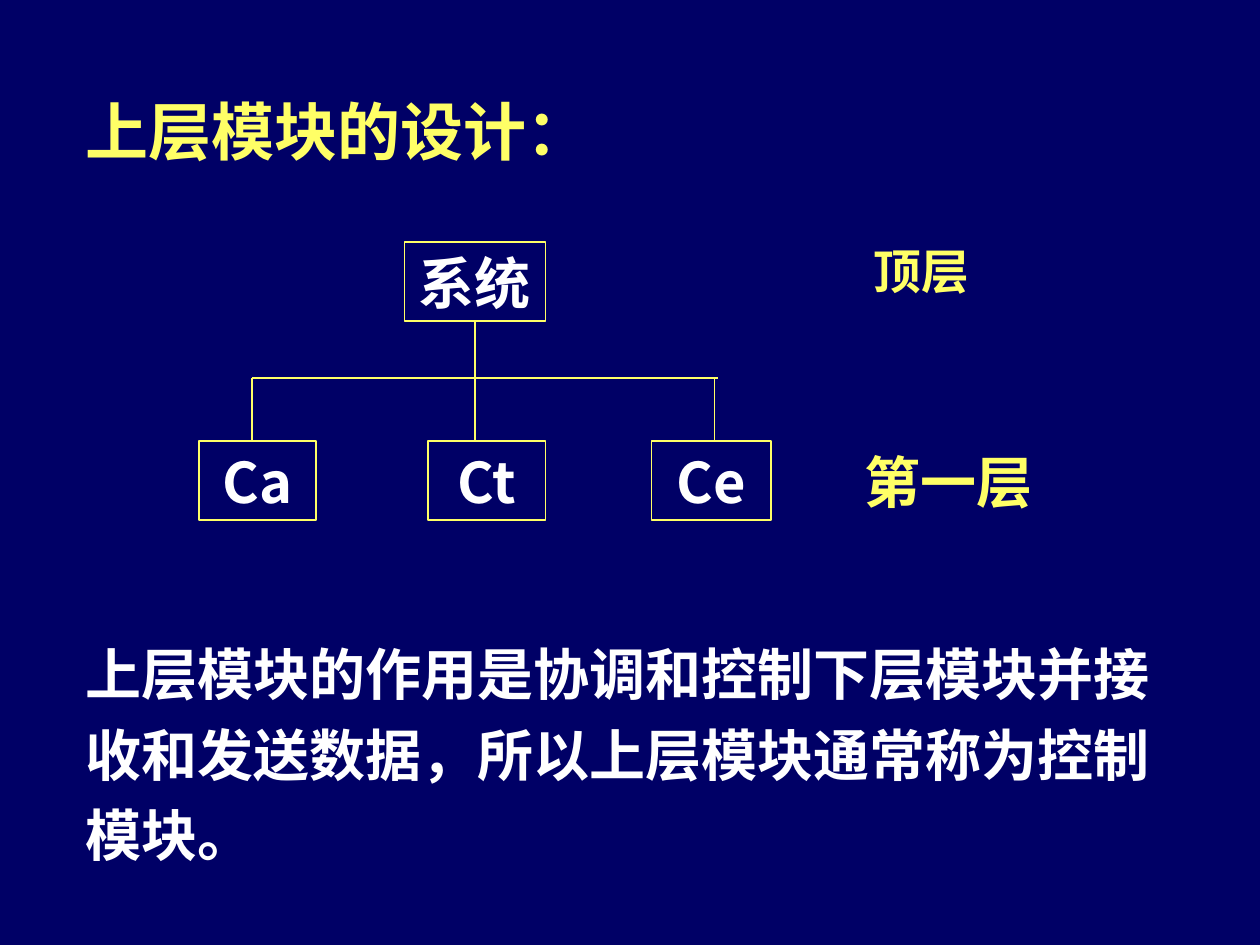
from dataclasses import dataclass

import pptx
import pptx.dml.color
import pptx.enum.shapes
import pptx.enum.text
import pptx.oxml.ns
import pptx.util
from lxml import etree
from pptx.dml.color import RGBColor
from pptx.util import Inches

NAVY = RGBColor(0x00, 0x00, 0x66)
YELLOW = RGBColor(0xFF, 0xFF, 0x66)
WHITE = RGBColor(0xFF, 0xFF, 0xFF)
FONT = "Noto Sans CJK SC"
LEFT = pptx.enum.text.PP_ALIGN.LEFT
CENTER = pptx.enum.text.PP_ALIGN.CENTER

SYSTEM_TOP, BUS_Y, MODULE_TOP = 1.92, 3.0, 3.5
MODULE_HEIGHT = 0.63


@dataclass
class Caption:
    text: str
    left: float
    top: float
    width: float
    height: float
    size: float
    color: RGBColor
    align: int = CENTER
    line_spacing: float = 1.0


@dataclass
class Module:
    text: str
    left: float
    top: float
    width: float


CAPTIONS = [
    Caption("上层模块的设计：", 0.58, 0.75, 4.25, 0.64, 36, YELLOW, LEFT, 0.9),
    Caption("顶层", 6.75, SYSTEM_TOP, 1.13, 0.57, 27.2, YELLOW, line_spacing=0.9),
    Caption("第一层", 6.5, MODULE_TOP, 2.05, 0.64, 32, YELLOW),
    Caption("上层模块的作用是协调和控制下层模块并接收和发送数据，所以上层模块通常称为控制模块。",
            0.58, 4.92, 8.83, 2.02, 32, WHITE, LEFT, 1.2),
]
SYSTEM = Module("系统", 3.21, SYSTEM_TOP, 1.12)
FIRST_LAYER = [
    Module("Ca", 1.58, MODULE_TOP, 0.93),
    Module("Ct", 3.4, MODULE_TOP, 0.93),
    Module("Ce", 5.17, MODULE_TOP, 0.95),
]
TRUNK_X = SYSTEM.left + SYSTEM.width / 2
BRANCH_XS = [2.0, 5.67]


def write(frame, text: str, size: float, color: RGBColor, align: int,
          line_spacing: float = 1.0) -> None:
    frame.word_wrap = True
    frame.vertical_anchor = pptx.enum.text.MSO_ANCHOR.TOP
    frame.text = text
    paragraph = frame.paragraphs[0]
    paragraph.alignment = align
    paragraph.line_spacing = line_spacing
    font = paragraph.runs[0].font
    font.size = pptx.util.Pt(size)
    font.bold = True
    font.name = FONT
    font.color.rgb = color
    # Chinese characters take their typeface from a:ea
    east_asian = etree.SubElement(paragraph.runs[0]._r.get_or_add_rPr(),
                                  pptx.oxml.ns.qn("a:ea"))
    east_asian.set("typeface", FONT)


def add_caption(slide, caption: Caption) -> None:
    box = slide.shapes.add_textbox(Inches(caption.left), Inches(caption.top),
                                   Inches(caption.width), Inches(caption.height))
    write(box.text_frame, caption.text, caption.size, caption.color,
          caption.align, caption.line_spacing)


def add_module(slide, module: Module):
    box = slide.shapes.add_shape(
        pptx.enum.shapes.MSO_SHAPE.RECTANGLE, Inches(module.left),
        Inches(module.top), Inches(module.width), Inches(MODULE_HEIGHT))
    box.shadow.inherit = False
    box.fill.background()
    box.line.color.rgb = YELLOW
    box.line.width = pptx.util.Pt(1)
    write(box.text_frame, module.text, 32, WHITE, CENTER)
    return box


def add_line(slide, x1: float, y1: float, x2: float, y2: float):
    line = slide.shapes.add_connector(
        pptx.enum.shapes.MSO_CONNECTOR.STRAIGHT,
        Inches(x1), Inches(y1), Inches(x2), Inches(y2))
    line.line.color.rgb = YELLOW
    line.line.width = pptx.util.Pt(0.75)
    etree.SubElement(line._element.spPr, pptx.oxml.ns.qn("a:effectLst"))
    return line


def main() -> None:
    deck = pptx.Presentation()
    deck.slide_width, deck.slide_height = Inches(10), Inches(7.5)
    slide = deck.slides.add_slide(deck.slide_layouts[6])
    slide.background.fill.solid()
    slide.background.fill.fore_color.rgb = NAVY

    # Title, layer labels and explanation
    for caption in CAPTIONS:
        add_caption(slide, caption)

    # Module hierarchy
    system_box = add_module(slide, SYSTEM)
    for module in FIRST_LAYER:
        add_module(slide, module)

    # Lines from the system down to the first layer
    add_line(slide, BRANCH_XS[0], BUS_Y, 5.7, BUS_Y)
    trunk = add_line(slide, TRUNK_X, SYSTEM_TOP + MODULE_HEIGHT, TRUNK_X, MODULE_TOP)
    trunk.begin_connect(system_box, 2)
    for x in BRANCH_XS:
        add_line(slide, x, BUS_Y, x, MODULE_TOP)

    deck.save("out.pptx")


if __name__ == "__main__":
    main()
